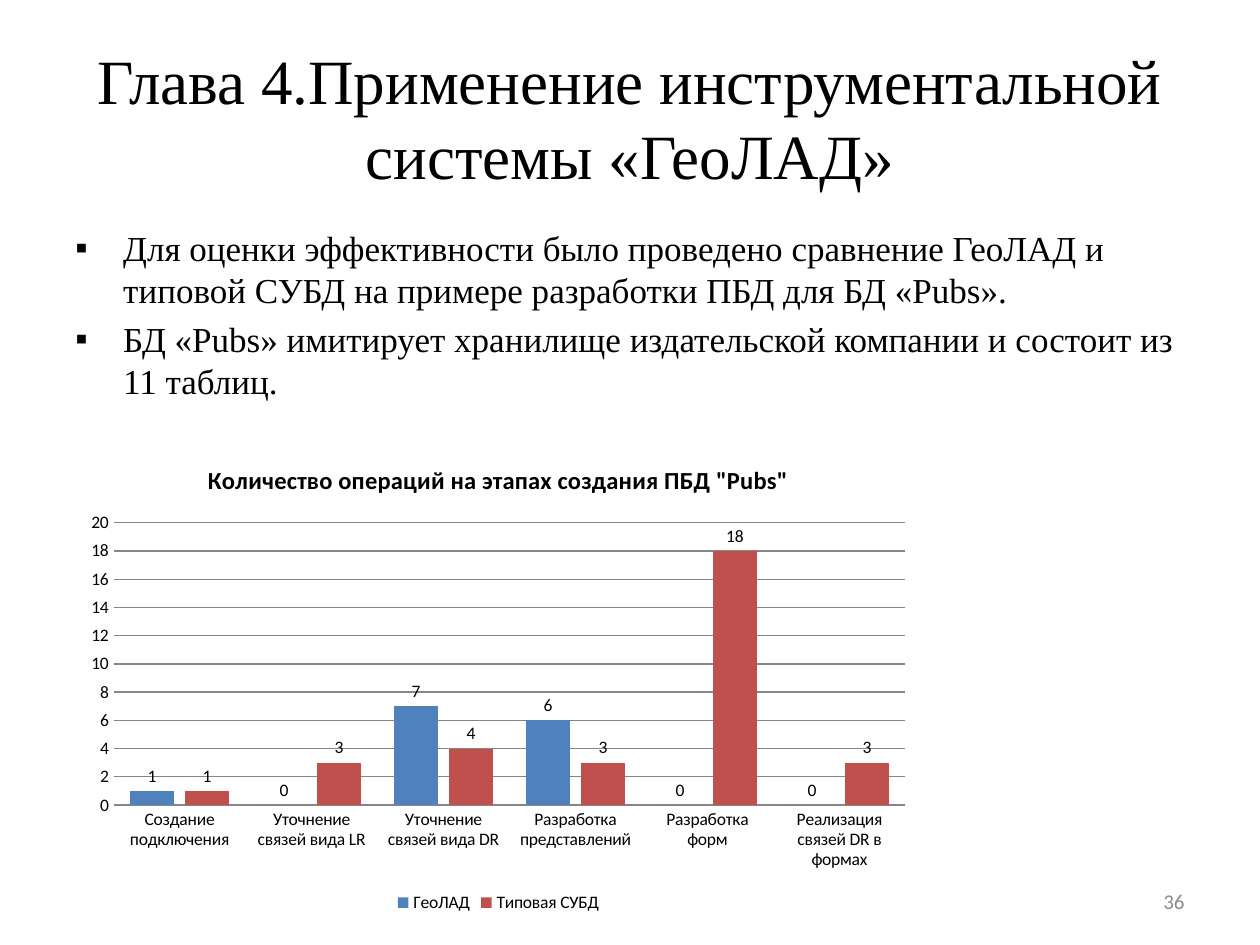
from lxml import etree
from pptx import Presentation
from pptx import util as u
from pptx.chart import data as chart_data
from pptx.dml.color import RGBColor
from pptx.enum import chart as ch, text
from pptx.oxml import ns

deck = Presentation()
deck.slide_width, deck.slide_height = u.Inches(10), u.Inches(7.5)
slide = deck.slides.add_slide(deck.slide_layouts[6])
W, H = deck.slide_width, deck.slide_height


def style(font, size, color, name, bold=False):
    font.size, font.name, font.bold = u.Pt(size), name, bold
    font.color.rgb = RGBColor.from_string(color)


def add_text(left, top, width, height, lines, size, color, font, align, anchor):
    """Place a text box given as shares of the slide; return its paragraphs."""
    frame = slide.shapes.add_textbox(
        int(W * left), int(H * top), int(W * width), int(H * height)).text_frame
    frame.text = "\n".join(lines)
    frame.word_wrap = True
    frame.vertical_anchor = anchor
    for paragraph in frame.paragraphs:
        paragraph.alignment = align
        for run in paragraph.runs:
            style(run.font, size, color, font)
    return frame.paragraphs


# Heading
add_text(0.05, 0.04, 0.9, 0.167,
         ["Глава 4.Применение инструментальной системы «ГеоЛАД»"],
         36, "000000", "Times New Roman", text.PP_ALIGN.CENTER, text.MSO_ANCHOR.MIDDLE)

# Bulleted theses
theses = add_text(0.05, 0.233, 0.9, 0.22, [
    "Для оценки эффективности было проведено сравнение ГеоЛАД и типовой "
    "СУБД на примере разработки ПБД для БД «Pubs».",
    "БД «Pubs» имитирует хранилище издательской компании и состоит из 11 таблиц.",
], 20, "000000", "Times New Roman", text.PP_ALIGN.LEFT, text.MSO_ANCHOR.TOP)
indent = u.Inches(0.38)
for thesis in theses:
    thesis.space_before = u.Pt(4)
    props = thesis._p.get_or_add_pPr()
    props.set("marL", str(indent))
    props.set("indent", str(-indent))
    etree.SubElement(props, ns.qn("a:buFont")).set("typeface", "Times New Roman")
    etree.SubElement(props, ns.qn("a:buChar")).set("char", "▪")

# Operations chart
operations = chart_data.CategoryChartData()
operations.categories = [
    "Создание подключения", "Уточнение связей вида LR", "Уточнение связей вида DR",
    "Разработка представлений", "Разработка форм", "Реализация связей DR в формах"]
systems = [("ГеоЛАД", (1, 0, 7, 6, 0, 0), "4F81BD"),
           ("Типовая СУБД", (1, 3, 4, 3, 18, 3), "C0504D")]
for name, counts, _ in systems:
    operations.add_series(name, counts)
chart = slide.shapes.add_chart(
    ch.XL_CHART_TYPE.COLUMN_CLUSTERED, int(W * 0.059), int(H * 0.468),
    int(W * 0.673), int(H * 0.503), operations).chart
style(chart.font, 10, "000000", "Calibri")

chart.has_title = True
chart.chart_title.include_in_layout = False
chart_heading = chart.chart_title.text_frame
chart_heading.text = 'Количество операций на этапах создания ПБД "Pubs"'
style(chart_heading.paragraphs[0].runs[0].font, 14, "000000", "Calibri", bold=True)

chart.has_legend = True
chart.legend.position = ch.XL_LEGEND_POSITION.BOTTOM
chart.legend.include_in_layout = False

# Axes and gridlines
stages, scale = chart.category_axis, chart.value_axis
for axis in (stages, scale):
    axis.major_tick_mark = axis.minor_tick_mark = ch.XL_TICK_MARK.NONE
scale.minimum_scale, scale.maximum_scale, scale.major_unit = 0, 20, 2
scale.has_major_gridlines = True
scale.format.line.fill.background()
for line in (stages.format.line, scale.major_gridlines.format.line):
    line.color.rgb = RGBColor.from_string("868686")
    line.width = u.Pt(0.75)

# Columns and their values
plot = chart.plots[0]
plot.gap_width, plot.overlap, plot.vary_by_categories = 75, -25, False
for series, (_, _, color) in zip(plot.series, systems):
    series.format.fill.solid()
    series.format.fill.fore_color.rgb = RGBColor.from_string(color)
    series.invert_if_negative = False
    series.data_labels.show_value = True
    series.data_labels.position = ch.XL_LABEL_POSITION.OUTSIDE_END

# Page number
add_text(0.717, 0.927, 0.233, 0.053, ["36"], 12, "8C8C8C", "Calibri",
         text.PP_ALIGN.RIGHT, text.MSO_ANCHOR.MIDDLE)

deck.save("out.pptx")
